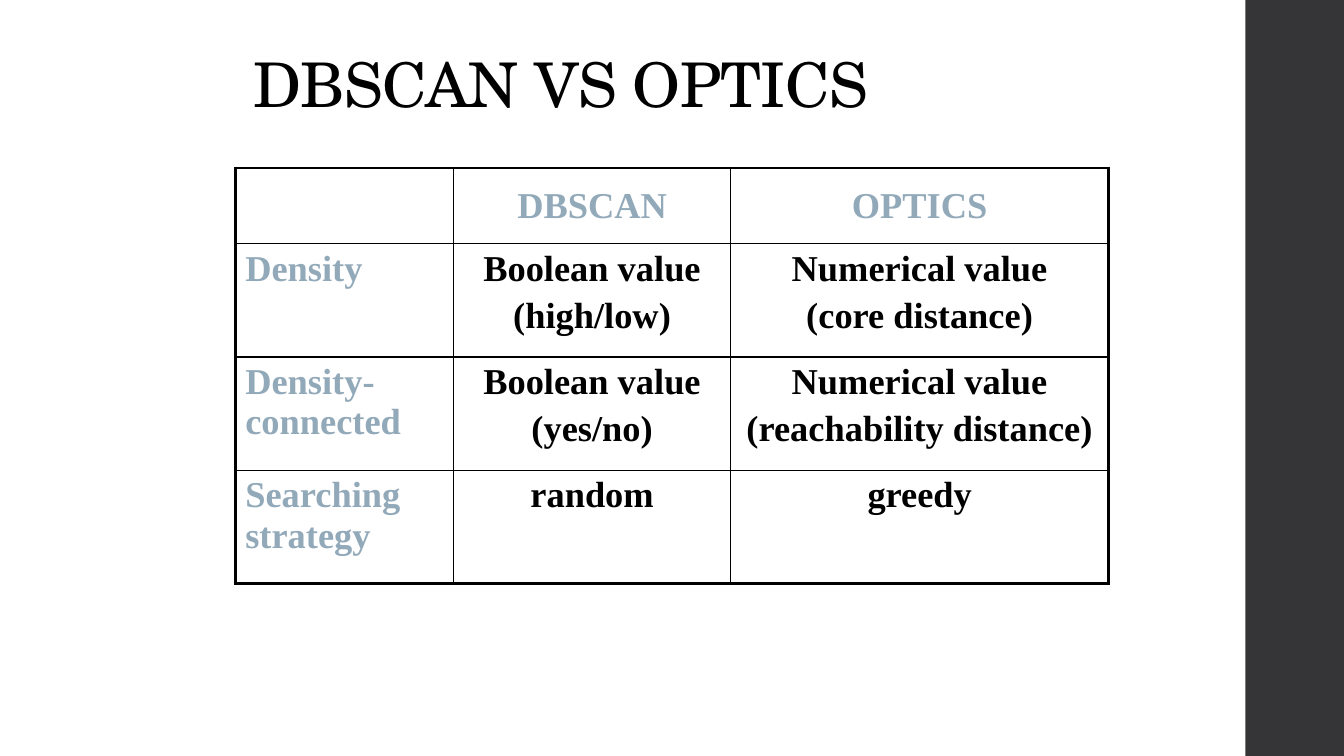
"""Build a slide with a table that compares DBSCAN and OPTICS."""
from lxml import etree
from pptx import Presentation
from pptx import util as u
from pptx.dml.color import RGBColor
from pptx.enum import shapes, text
from pptx.oxml import ns

TITLE = "DBSCAN VS OPTICS"
ROWS = [
    ("", "DBSCAN", "OPTICS"),
    ("Density", "Boolean value\n(high/low)", "Numerical value\n(core distance)"),
    ("Density-connected", "Boolean value\n(yes/no)", "Numerical value\n(reachability distance)"),
    ("Searching strategy", "random", "greedy"),
]
SLIDE_SIZE = (1280, 720)
TITLE_AREA = (232, 0, 816, 120)
SIDEBAR_AREA = (1186, 0, 94, 720)
TABLE_ORIGIN = (224, 160)
COLUMN_WIDTHS = (208, 264, 360)
ROW_HEIGHTS = (72, 108, 108, 108)
INNER_LINE, OUTER_LINE = 1, 2.25

BLACK = RGBColor(0x00, 0x00, 0x00)
HEADING = RGBColor(0x92, 0xA9, 0xB9)
SIDEBAR = RGBColor(0x35, 0x35, 0x37)


def px(*lengths):
    return [u.Emu(length * 9525) for length in lengths]


def write(frame, content, *, font, size, color, bold=False,
          align=text.PP_ALIGN.LEFT, line_spacing=None, gap=0):
    for index, line in enumerate(content.split("\n")):
        para = frame.paragraphs[0] if index == 0 else frame.add_paragraph()
        para.alignment = align
        para.line_spacing = line_spacing
        para.space_before = u.Pt(gap if index else 0)
        if line:
            span = para.add_run()
            span.text = line
            span.font.name, span.font.size, span.font.bold = font, u.Pt(size), bold
            span.font.color.rgb = color


def add_border(cell, side, width):
    edge = etree.SubElement(cell._tc.get_or_add_tcPr(), ns.qn(f"a:ln{side}"), w=str(u.Pt(width)))
    fill = etree.SubElement(edge, ns.qn("a:solidFill"))
    etree.SubElement(fill, ns.qn("a:srgbClr"), val=str(BLACK))


def add_sidebar(page):
    bar = page.shapes.add_shape(shapes.MSO_SHAPE.RECTANGLE, *px(*SIDEBAR_AREA))
    bar.shadow.inherit = False
    bar.fill.solid()
    bar.fill.fore_color.rgb = SIDEBAR
    bar.line.fill.background()


def add_title(page):
    box = page.shapes.title
    box.left, box.top, box.width, box.height = px(*TITLE_AREA)
    frame = box.text_frame
    frame.vertical_anchor = text.MSO_ANCHOR.BOTTOM
    frame.auto_size = text.MSO_AUTO_SIZE.NONE
    write(frame, TITLE, font="TeX Gyre Schola", size=44, color=BLACK, line_spacing=0.9)
    frame.paragraphs[0].runs[0].font._element.set("spc", "-50")


def add_comparison(page):
    area = px(*TABLE_ORIGIN, sum(COLUMN_WIDTHS), sum(ROW_HEIGHTS))
    table = page.shapes.add_table(len(ROWS), len(COLUMN_WIDTHS), *area).table
    table.first_row = table.horz_banding = False
    for column, width in zip(table.columns, px(*COLUMN_WIDTHS)):
        column.width = width
    for row, height in zip(table.rows, px(*ROW_HEIGHTS)):
        row.height = height
    last_row, last_column = len(ROWS) - 1, len(COLUMN_WIDTHS) - 1
    for r, row in enumerate(ROWS):
        for c, content in enumerate(row):
            cell = table.cell(r, c)
            outer = {"L": c == 0, "R": c == last_column, "T": r == 0, "B": r == last_row}
            for side, is_outer in outer.items():
                add_border(cell, side, OUTER_LINE if is_outer else INNER_LINE)
            cell.fill.background()
            cell.vertical_anchor = text.MSO_ANCHOR.TOP if r else text.MSO_ANCHOR.MIDDLE
            write(cell.text_frame, content, font="Times New Roman", size=26, bold=True, gap=5,
                  color=BLACK if r and c else HEADING,
                  align=text.PP_ALIGN.CENTER if c else text.PP_ALIGN.LEFT)


def main():
    deck = Presentation()
    deck.slide_width, deck.slide_height = px(*SLIDE_SIZE)
    page = deck.slides.add_slide(deck.slide_layouts.get_by_name("Title Only"))
    add_sidebar(page)
    add_title(page)
    add_comparison(page)
    deck.save("out.pptx")


if __name__ == "__main__":
    main()
